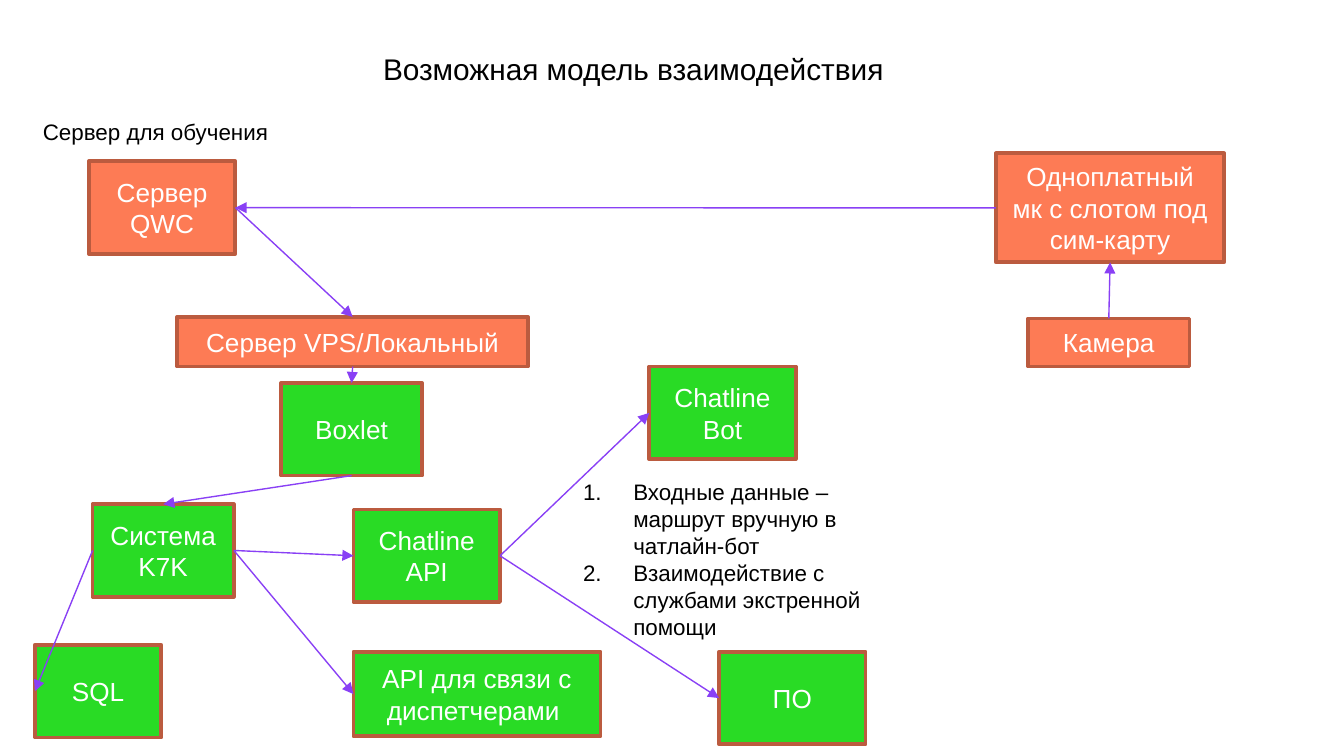
from lxml.etree import SubElement
from pptx import Presentation
from pptx.dml.color import RGBColor
from pptx.enum.shapes import MSO_CONNECTOR, MSO_SHAPE
from pptx.enum.text import MSO_ANCHOR, MSO_AUTO_SIZE, PP_ALIGN
from pptx.oxml.ns import qn
from pptx.util import Cm, Pt

ORANGE, GREEN = "FD7B55", "29DB25"
TOP, LEFT, BOTTOM, RIGHT = range(4)  # connection sites of a rectangle


def color(hex_code):
    return RGBColor.from_string(hex_code)


class Diagram:
    font = "Arial"
    border, arrow_color = "BB5B3F", "8940F5"
    box_text, plain_text = "FFFFFF", "000000"

    def __init__(self, slide):
        self.slide = slide

    def style(self, paragraph, size, hex_code):
        paragraph.font.name = self.font
        paragraph.font.size = Pt(size)
        paragraph.font.color.rgb = color(hex_code)

    def box(self, label, fill, *place):
        box = self.slide.shapes.add_shape(MSO_SHAPE.RECTANGLE, *map(Cm, place))
        box.shadow.inherit = False
        box.fill.solid()
        box.fill.fore_color.rgb = color(fill)
        box.line.color.rgb = color(self.border)
        box.line.width = Pt(2)
        frame = box.text_frame
        frame.word_wrap = True
        frame.vertical_anchor = MSO_ANCHOR.MIDDLE
        frame.text = label
        frame.paragraphs[0].alignment = PP_ALIGN.CENTER
        self.style(frame.paragraphs[0], 14, self.box_text)
        return box

    def text(self, lines, size, *place, numbered=False):
        frame = self.slide.shapes.add_textbox(*map(Cm, place)).text_frame
        frame.word_wrap = True
        frame.auto_size = MSO_AUTO_SIZE.SHAPE_TO_FIT_TEXT
        frame.text = "\n".join(lines)
        for paragraph in frame.paragraphs:
            self.style(paragraph, size, self.plain_text)
            if numbered:
                self.number(paragraph)

    def number(self, paragraph):
        """Give the paragraph a hanging automatic number."""
        properties = paragraph._p.get_or_add_pPr()
        indent = Cm(0.95)
        properties.set("marL", str(indent))
        properties.set("indent", str(-indent))
        numbering = properties.makeelement(qn("a:buAutoNum"), {"type": "arabicPeriod"})
        properties.insert(0, numbering)

    def arrow(self, source, source_site, target, target_site):
        arrow = self.slide.shapes.add_connector(MSO_CONNECTOR.STRAIGHT, 0, 0, 0, 0)
        arrow.begin_connect(source, source_site)
        arrow.end_connect(target, target_site)
        arrow.line.color.rgb = color(self.arrow_color)
        arrow.line.width = Pt(0.75)
        SubElement(arrow.line._get_or_add_ln(), qn("a:tailEnd"), type="triangle")
        SubElement(arrow._element.spPr, qn("a:effectLst"))


def main():
    deck = Presentation()
    deck.slide_width, deck.slide_height = Cm(25.4), Cm(14.29)
    diagram = Diagram(deck.slides.add_slide(deck.slide_layouts[6]))

    diagram.text(["Возможная модель взаимодействия"], 16, 6.99, 0.84, 11.99, 0.94)
    diagram.text(["Сервер для обучения"], 12, 0.56, 2.11, 5.61, 0.76)

    cloud = diagram.box("Сервер QWC", ORANGE, 1.68, 3.05, 2.77, 1.75)
    vps = diagram.box("Сервер VPS/Локальный", ORANGE, 3.35, 5.99, 6.63, 0.94)
    board = diagram.box("Одноплатный мк с слотом под сим-карту", ORANGE,
                        18.82, 2.9, 4.32, 2.06)
    camera = diagram.box("Камера", ORANGE, 19.43, 6.02, 3.05, 0.91)

    container = diagram.box("Boxlet", GREEN, 5.31, 7.24, 2.67, 1.75)
    workflow = diagram.box("Система K7K", GREEN, 1.75, 9.53, 2.67, 1.75)
    database = diagram.box("SQL", GREEN, 0.66, 12.19, 2.39, 1.75)
    chat_api = diagram.box("Chatline API", GREEN, 6.68, 9.63, 2.77, 1.75)
    chat_bot = diagram.box("Chatline\vBot", GREEN, 12.27, 6.93, 2.77, 1.75)
    dispatch_api = diagram.box("API для связи с диспетчерами ", GREEN,
                               6.68, 12.32, 4.67, 1.6)
    software = diagram.box("ПО", GREEN, 13.59, 12.32, 2.77, 1.75)

    for link in (
        (camera, TOP, board, BOTTOM),
        (board, LEFT, cloud, RIGHT),
        (cloud, RIGHT, vps, TOP),
        (vps, BOTTOM, container, TOP),
        (container, BOTTOM, workflow, TOP),
        (workflow, LEFT, database, LEFT),
        (workflow, RIGHT, chat_api, LEFT),
        (workflow, RIGHT, dispatch_api, LEFT),
        (chat_api, RIGHT, chat_bot, LEFT),
        (chat_api, RIGHT, software, LEFT),
    ):
        diagram.arrow(*link)

    diagram.text(["Входные данные – маршрут вручную в чатлайн-бот",
                  "Взаимодействие с службами экстренной помощи"],
                 12, 10.77, 8.92, 5.84, 3.33, numbered=True)

    deck.save("out.pptx")


if __name__ == "__main__":
    main()
